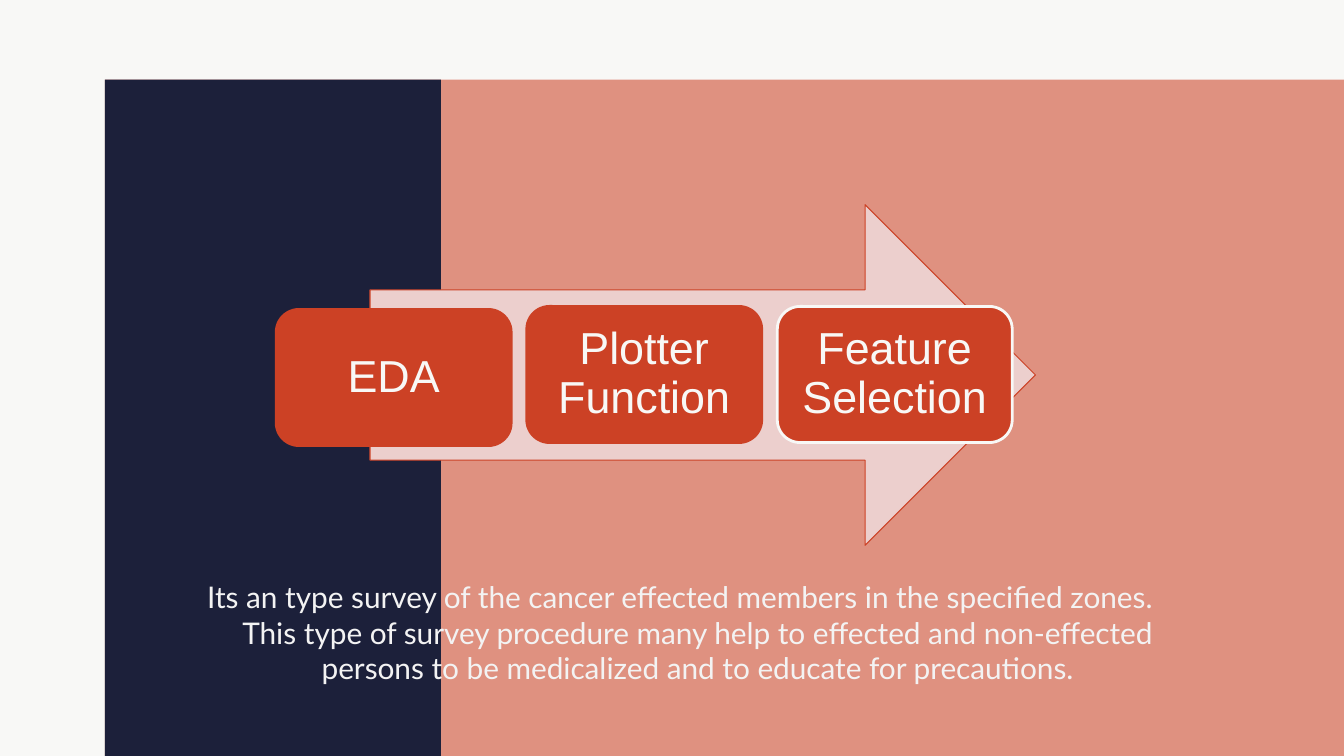
import pptx
import pptx.util
import pptx.dml.color
import pptx.enum.shapes
import pptx.enum.text
import pptx.oxml.ns
import lxml.etree

Inches = pptx.util.Inches
RGBColor = pptx.dml.color.RGBColor
MSO_SHAPE = pptx.enum.shapes.MSO_SHAPE

OFF_WHITE = RGBColor(0xF8, 0xF8, 0xF6)
NAVY = RGBColor(0x1C, 0x20, 0x3A)
RED = RGBColor(0xCC, 0x41, 0x25)
PALE_PINK = RGBColor(0xEC, 0xCF, 0xCD)
LIGHT_GREY = RGBColor(0xF3, 0xF3, 0xF3)

WIDTH, HEIGHT = 13.33, 7.5
PANEL_LEFT, PANEL_TOP = 1.04, 0.79
PANEL_HEIGHT = HEIGHT - PANEL_TOP
STEP_LEFT, STEP_PITCH = 2.74, 2.485
STEP_WIDTH, STEP_HEIGHT = 2.33, 1.35

presentation = pptx.Presentation()
presentation.slide_width = Inches(WIDTH)
presentation.slide_height = Inches(HEIGHT)
slide = presentation.slides.add_slide(presentation.slide_layouts[6])
slide.background.fill.solid()
slide.background.fill.fore_color.rgb = OFF_WHITE


def add_block(kind, box, fill, line=None, line_width=0):
    shape = slide.shapes.add_shape(kind, *map(Inches, box))
    shape.shadow.inherit = False
    shape.fill.solid()
    shape.fill.fore_color.rgb = fill
    if line is None:
        shape.line.fill.background()
    else:
        shape.line.color.rgb = line
        shape.line.width = pptx.util.Pt(line_width)
    return shape


def write_text(shape, text, inset, frame_format, paragraph_format, font_format, color):
    frame = shape.text_frame
    for side in ("left", "top", "right", "bottom"):
        setattr(frame, f"margin_{side}", Inches(inset))
    paragraph = frame.paragraphs[0]
    run = paragraph.add_run()
    run.text = text
    run.font.color.rgb = color
    for target, values in ((frame, frame_format), (paragraph, paragraph_format),
                           (run.font, font_format)):
        for name, value in values.items():
            setattr(target, name, value)
    return paragraph


# Background panels: translucent red, then navy on its left
red_panel = add_block(MSO_SHAPE.RECTANGLE,
                      (PANEL_LEFT, PANEL_TOP, WIDTH - PANEL_LEFT, PANEL_HEIGHT), RED)
panel_color = red_panel.fill._xPr.find(".//" + pptx.oxml.ns.qn("a:srgbClr"))
lxml.etree.SubElement(panel_color, pptx.oxml.ns.qn("a:alpha"), val="56000")
add_block(MSO_SHAPE.RECTANGLE, (PANEL_LEFT, PANEL_TOP, WIDTH / 4, PANEL_HEIGHT), NAVY)

# Survey description, with a hanging first line
description = slide.shapes.add_textbox(*map(Inches, (1.67, 5.64, 10, 1.81)))
description_paragraph = write_text(
    description,
    "Its an type survey of the cancer effected members in the specified zones. "
    "This type of survey procedure many help to effected and non-effected "
    "persons to be medicalized and to educate for precautions.",
    0.1,
    {"word_wrap": True, "vertical_anchor": pptx.enum.text.MSO_ANCHOR.TOP},
    {"alignment": pptx.enum.text.PP_ALIGN.CENTER},
    {"name": "Lato", "size": pptx.util.Pt(21.3)},
    LIGHT_GREY)
paragraph_properties = description_paragraph._p.get_or_add_pPr()
paragraph_properties.set("marL", str(Inches(0.5)))
paragraph_properties.set("indent", str(Inches(-0.35)))

# Process arrow
add_block(MSO_SHAPE.RIGHT_ARROW, (3.67, 2.03, 6.6, 3.38), PALE_PINK, RED, 0.75)

# Process steps
steps = (("EDA", 3.07, RED), ("Plotter Function", 3.04, RED),
         ("Feature Selection", 3.04, OFF_WHITE))
for column, (label, top, outline) in enumerate(steps):
    step = add_block(MSO_SHAPE.ROUNDED_RECTANGLE,
                     (STEP_LEFT + column * STEP_PITCH, top, STEP_WIDTH, STEP_HEIGHT),
                     RED, outline, 2)
    write_text(step, label, 0.13,
               {"word_wrap": True, "vertical_anchor": pptx.enum.text.MSO_ANCHOR.MIDDLE},
               {"alignment": pptx.enum.text.PP_ALIGN.CENTER, "line_spacing": 0.9},
               {"name": "Arial", "size": pptx.util.Pt(32)},
               OFF_WHITE)

presentation.save("out.pptx")
